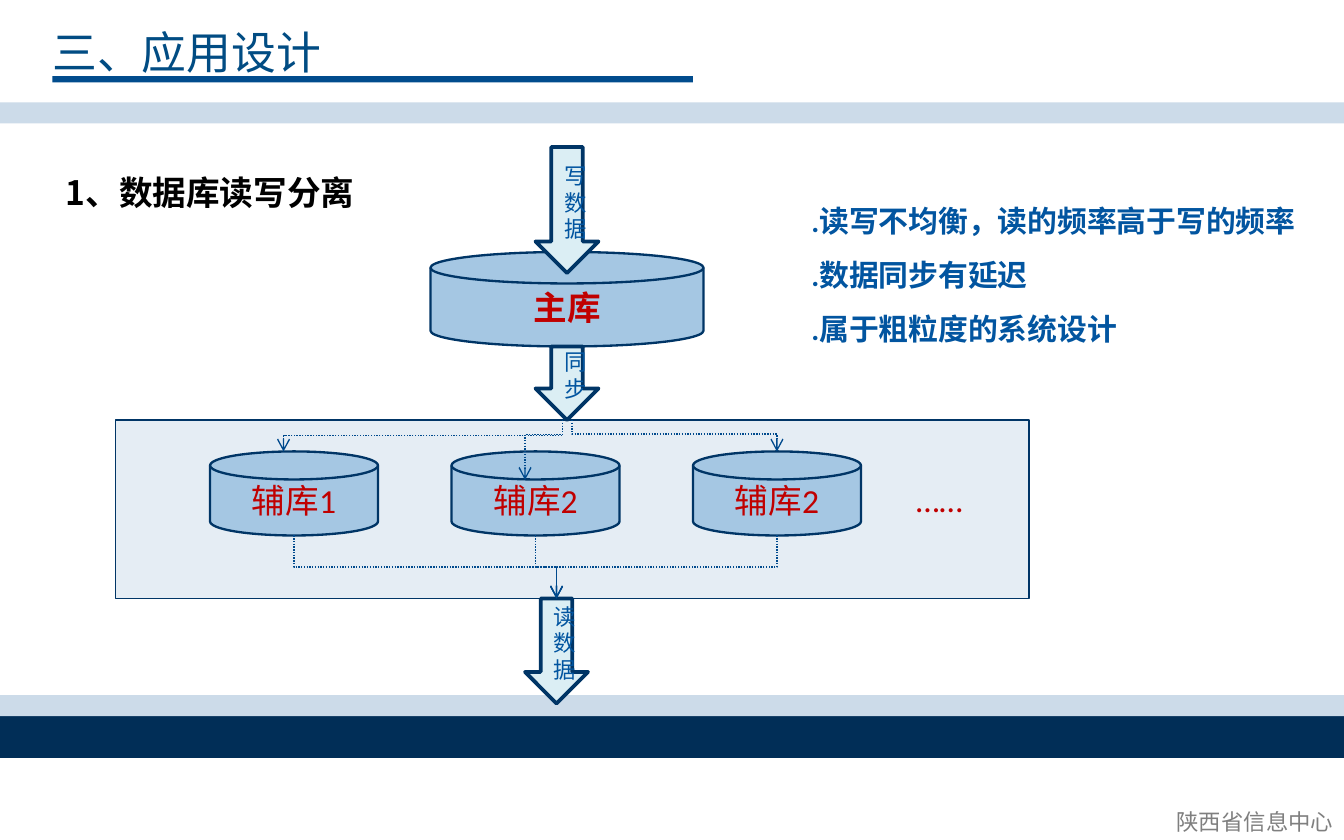
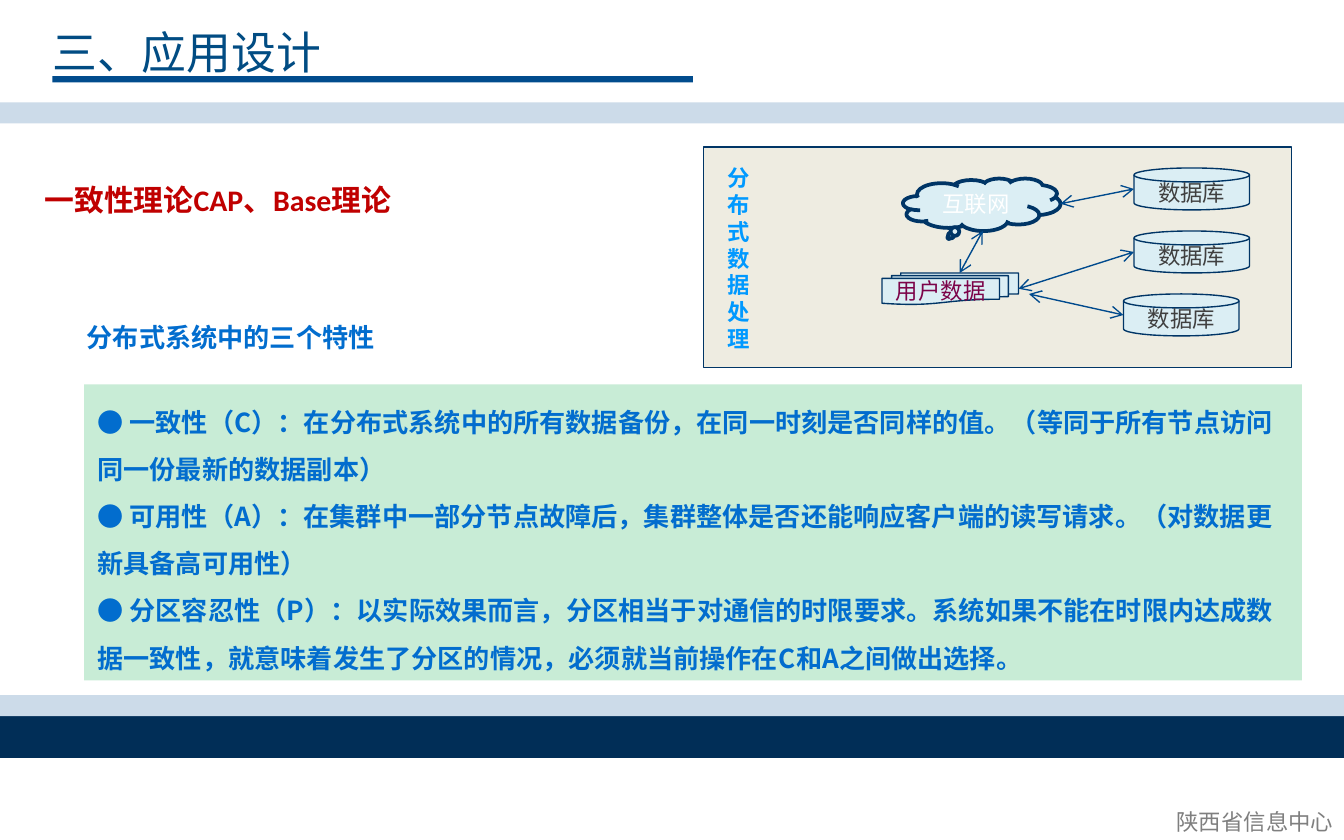
"""Build two slides on application design: read/write split and CAP theory."""
import pptx
import pptx.util
import pptx.dml.color
import pptx.enum.dml
import pptx.enum.shapes
import pptx.enum.text
import pptx.oxml.ns
import lxml.etree

HUE = {
    "navy": "012E57", "rule": "014C8D", "pale": "CCDBE9", "title": "014C83",
    "grey": "7F7F7F", "edge": "003566", "panel": "E5EDF4", "disk": "A5C7E3",
    "ice": "DBEEF4", "red": "C00000", "blue": "0255A0", "link": "004A8D",
    "sand": "EEECE1", "mint": "C8ECD6", "azure": "026DCE", "sky": "0099FF",
    "plum": "7C0449", "dark": "404040", "black": "000000", "white": "FFFFFF",
}
KIND = pptx.enum.shapes.MSO_SHAPE
DISK = KIND.FLOWCHART_MAGNETIC_DISK
LEFT, MID, RIGHT = (pptx.enum.text.PP_ALIGN.LEFT, pptx.enum.text.PP_ALIGN.CENTER,
                    pptx.enum.text.PP_ALIGN.RIGHT)
HAN = "Noto Sans CJK SC"
qn = pptx.oxml.ns.qn

deck = pptx.Presentation()
deck.slide_width = pptx.util.Inches(10)
deck.slide_height = pptx.util.Inches(6.25)
UNIT = deck.slide_width / 128


def write(shape, text, size=12, hue="black", bold=False, face="Calibri",
          align=LEFT, lead=1.0, wrap=True, anchor="TOP"):
    frame = shape.text_frame
    frame.text = text
    frame.word_wrap = wrap
    frame.auto_size = pptx.enum.text.MSO_AUTO_SIZE.NONE
    frame.vertical_anchor = pptx.enum.text.MSO_ANCHOR[anchor]
    for para in frame.paragraphs:
        props = para._p.get_or_add_pPr()
        props.set("marL", "0")
        props.set("indent", "0")
        lxml.etree.SubElement(props, qn("a:buNone"))
        para.alignment = align
        para.line_spacing = lead
        para.space_before = pptx.util.Pt(0)
        for run in para.runs:
            run.font.size = pptx.util.Pt(size)
            run.font.bold = bold
            run.font.color.rgb = pptx.dml.color.RGBColor.from_string(HUE[hue])
            run.font.name = face
            east = lxml.etree.SubElement(run._r.get_or_add_rPr(), qn("a:ea"))
            east.set("typeface", HAN)


def draw(slide, kind, box, fill=None, edge=0, text="", **style):
    spot = [round(n * UNIT) for n in box]
    if kind is None:
        shape = slide.shapes.add_textbox(*spot)
    elif kind in ("title", "body"):
        shape = slide.placeholders[0 if kind == "title" else 1]
        shape.left, shape.top, shape.width, shape.height = spot
    else:
        shape = slide.shapes.add_shape(kind, *spot)
        shape.shadow.inherit = False
        if edge:
            shape.line.color.rgb = pptx.dml.color.RGBColor.from_string(HUE["edge"])
            shape.line.width = pptx.util.Pt(edge)
        else:
            shape.line.fill.background()
        style = {"align": MID, "anchor": "MIDDLE", **style}
    if fill:
        shape.fill.solid()
        shape.fill.fore_color.rgb = pptx.dml.color.RGBColor.from_string(HUE[fill])
    if text:
        write(shape, text, **style)
    return shape


pages = [deck.slides.add_slide(deck.slide_layouts[1]) for _ in range(2)]
for page in pages:
    for box, fill in [((0, 68.2, 128, 4), "navy"), ((5, 7.25, 61, 0.6), "rule"),
                      ((0, 66.2, 128, 2), "pale"), ((0, 9.75, 128, 2), "pale")]:
        draw(page, KIND.RECTANGLE, box, fill)
    draw(page, "title", (3.7, 1.7, 28.2, 6.4), text="三、应用设计",
         size=24, hue="title", face=HAN, wrap=False)
    draw(page, None, (110.85, 76.3, 17.4, 3.9), text="陕西省信息中心",
         hue="grey", face=HAN, align=RIGHT, wrap=False)

split, theory = pages

draw(split, KIND.RECTANGLE, (11, 40, 87, 17), "panel", 1)
draw(split, None, (5, 13.8, 71, 7), text="1、数据库读写分离",
     size=18, bold=True, face=HAN, lead=1.5)
draw(split, DISK, (41, 24, 26, 9), "disk", 1.25, "主库", size=18, hue="red", bold=True)
for i, name in enumerate(["辅库1", "辅库2", "辅库2"]):
    draw(split, DISK, (20 + 23 * i, 43, 16, 8), "disk", 1.25, name, size=18, hue="red")
draw(split, None, (86, 45, 11, 5.1), text="……", size=18, hue="red")
for col, row, tall, name in [(51, 14, 12, "写数据"), (50, 57, 10, "读数据"),
                             (51, 33, 7, "同步")]:
    draw(split, KIND.DOWN_ARROW, (col, row, 6, tall), "ice", 2, name, hue="blue")
draw(split, "body", (76, 17, 52, 16.6),
     text=".读写不均衡，读的频率高于写的频率\n.数据同步有延迟\n.属于粗粒度的系统设计",
     size=16, hue="blue", bold=True, lead=1.5)

draw(theory, KIND.RECTANGLE, (67, 14, 56, 21), "sand", 1)
draw(theory, None, (3, 15, 71, 6.4), text="一致性理论CAP、Base理论",
     size=16, hue="red", bold=True, lead=1.5)
draw(theory, "body", (8, 36.6, 116, 28.2), "mint", text="\n".join([
    "● 一致性（C）：在分布式系统中的所有数据备份，在同一时刻是否同样的值。"
    "（等同于所有节点访问同一份最新的数据副本）",
    "● 可用性（A）：在集群中一部分节点故障后，集群整体是否还能响应客户端的读写请求。"
    "（对数据更新具备高可用性）",
    "● 分区容忍性（P）：以实际效果而言，分区相当于对通信的时限要求。"
    "系统如果不能在时限内达成数据一致性，就意味着发生了分区的情况，"
    "必须就当前操作在C和A之间做出选择。",
]), size=14, hue="azure", bold=True, face=HAN, lead=1.5)
draw(theory, None, (7, 30, 53, 4.3), text="分布式系统中的三个特性",
     size=14, hue="azure", bold=True)
draw(theory, KIND.FLOWCHART_MULTIDOCUMENT, (84, 26, 13, 3), "ice", 0.75,
     "用户数据", hue="plum")
for i, col in enumerate([108, 108, 107]):
    draw(theory, DISK, (col, 16 + 6 * i, 11, 4), "ice", 0.75, "数据库", hue="dark")
draw(theory, KIND.CLOUD_CALLOUT, (86, 17, 15, 5), "ice", 2, "互联网", hue="white")
draw(theory, None, (68, 15, 3, 19.2), text="分布式数据处理", hue="sky", bold=True)

links = [
    (split, 53.6, 40, 27, 43, 0.5), (split, 53.6, 40, 50, 45.7, 0.24),
    (split, 54.5, 40, 74, 43, 0.45),
    *[(split, 28 + 23 * i, 51, 53, 57, 0.5) for i in range(3)],
    (theory, 91.4, 26, 93.6, 22, None), (theory, 101, 19.4, 108, 18, None),
    (theory, 97, 27.5, 108, 24, None), (theory, 98, 28, 107, 30, None),
]
for page, x1, y1, x2, y2, bend in links:
    ends = (x1, y1, x2, y2)
    form = pptx.enum.shapes.MSO_CONNECTOR.STRAIGHT
    if bend:
        form = pptx.enum.shapes.MSO_CONNECTOR.ELBOW
        midx, midy = (x1 + x2) / 2, (y1 + y2) / 2
        long, wide = (y2 - y1) / 2, abs(x2 - x1) / 2
        ends = (midx - long, midy - wide, midx + long, midy + wide)
    link = page.shapes.add_connector(form, *[round(n * UNIT) for n in ends])
    link.line.color.rgb = pptx.dml.color.RGBColor.from_string(HUE["link"])
    link.line.width = pptx.util.Pt(0.75)
    props = link._element.spPr
    if bend:
        link.line.dash_style = pptx.enum.dml.MSO_LINE.ROUND_DOT
        frame = props.find(qn("a:xfrm"))
        frame.set("rot", str((90 if x2 < x1 else 270) * 60000))
        if x2 > x1:
            frame.set("flipH", "1")
        guide = lxml.etree.SubElement(props.find(".//" + qn("a:avLst")), qn("a:gd"))
        guide.set("name", "adj1")
        guide.set("fmla", f"val {round(bend * 100000)}")
    for tip in ["tailEnd"] if bend else ["headEnd", "tailEnd"]:
        lxml.etree.SubElement(props.find(qn("a:ln")), qn("a:" + tip)).set("type", "arrow")
    lxml.etree.SubElement(props, qn("a:effectLst"))

deck.save("out.pptx")
